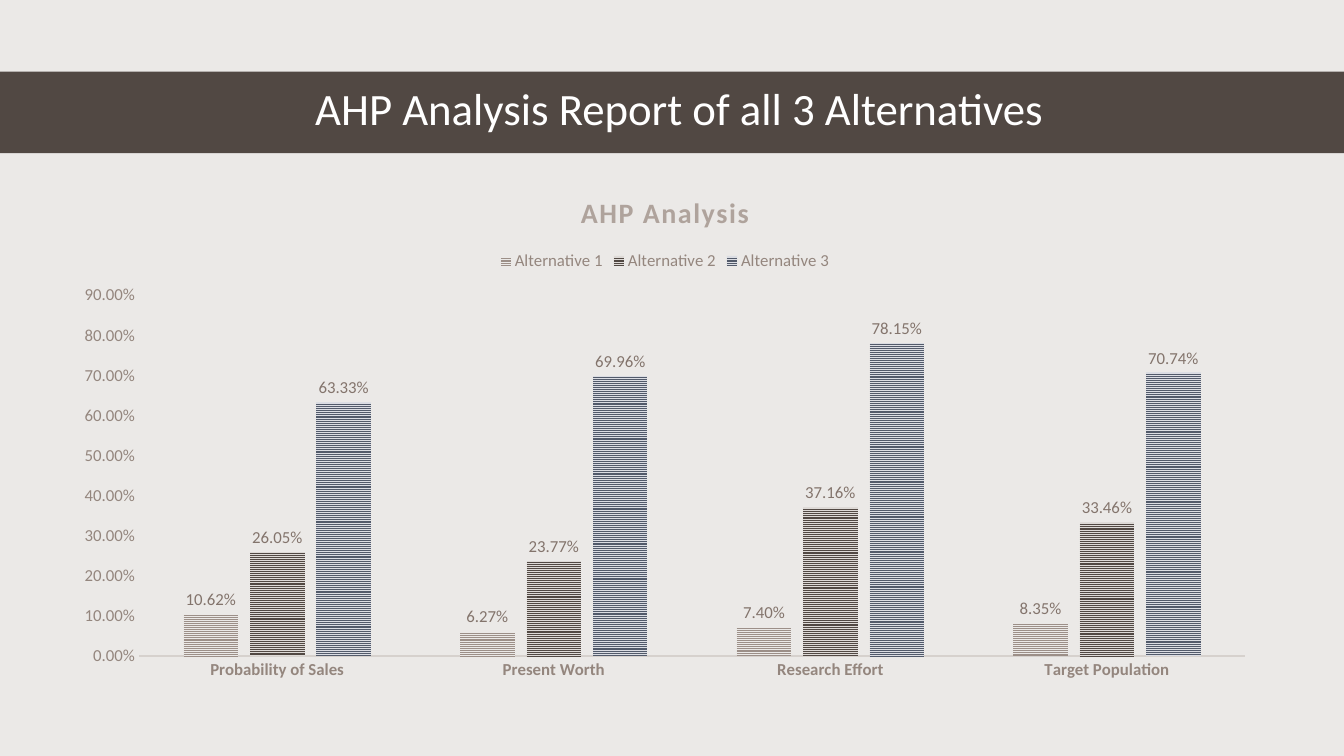
from pptx import Presentation
from pptx.chart.data import CategoryChartData
from pptx.dml.color import RGBColor
from pptx.enum.chart import XL_CHART_TYPE, XL_LABEL_POSITION, XL_LEGEND_POSITION, XL_TICK_MARK
from pptx.enum.dml import MSO_PATTERN
from pptx.enum.shapes import MSO_SHAPE
from pptx.enum.text import MSO_ANCHOR, PP_ALIGN
from pptx.util import Inches, Pt

RECT = MSO_SHAPE.RECTANGLE
BARS = XL_CHART_TYPE.COLUMN_CLUSTERED
OUTER = XL_LABEL_POSITION.OUTSIDE_END
TOP = XL_LEGEND_POSITION.TOP
NONE = XL_TICK_MARK.NONE
STRIPES = MSO_PATTERN.NARROW_HORIZONTAL
MIDDLE = MSO_ANCHOR.MIDDLE
CENTER = PP_ALIGN.CENTER

FACE = "Calibri"
PAPER, DARK, AXIS = "EBE9E7", "514843", "94867E"
PERCENT = "0.00%"
HEADING = "AHP Analysis Report of all 3 Alternatives"
CAPTION = "AHP Analysis"
TOPICS = ["Probability of Sales", "Present Worth", "Research Effort", "Target Population"]
SERIES = [
    ("Alternative 1", (0.1062, 0.0627, 0.074, 0.0835), "9C8F88", PAPER),
    ("Alternative 2", (0.2605, 0.2377, 0.3716, 0.3346), DARK, "DEDAD7"),
    ("Alternative 3", (0.6333, 0.6996, 0.7815, 0.7074), "525A6A", "DBDDE3"),
]


def color(code):
    return RGBColor.from_string(code)


def style(font, size, code, bold=False):
    font.name, font.size, font.bold = FACE, Pt(size), bold
    font.color.rgb = color(code)


def write(frame, text, size, code, bold=False, spread=0):
    para = frame.paragraphs[0]
    para.alignment = CENTER
    run = para.add_run()
    run.text = text
    style(run.font, size, code, bold)
    if spread:
        run._r.get_or_add_rPr().set("spc", str(spread))
    return para


def place(*box):
    return [Inches(n) for n in box]


deck = Presentation()
deck.slide_width, deck.slide_height = place(13.33, 7.5)
slide = deck.slides.add_slide(deck.slide_layouts[6])
slide.background.fill.solid()
slide.background.fill.fore_color.rgb = color(PAPER)

band = slide.shapes.add_shape(RECT, *place(0, 0.71, 13.33, 0.81))
band.shadow.inherit = False
band.fill.solid()
band.fill.fore_color.rgb = color(DARK)
band.line.fill.background()

frame = slide.shapes.add_textbox(*place(0.61, 0.7, 12.26, 0.81)).text_frame
frame.word_wrap = True
frame.vertical_anchor = MIDDLE
write(frame, HEADING, 32, "FFFFFF").line_spacing = 0.9

data = CategoryChartData(number_format=PERCENT)
data.categories = TOPICS
for name, values, front, back in SERIES:
    data.add_series(name, values)
chart = slide.shapes.add_chart(BARS, *place(0.6, 1.71, 11.99, 5.14), data).chart
style(chart.font, 10, DARK)
chart.has_title = True
write(chart.chart_title.text_frame, CAPTION, 20, "AFA39C", bold=True, spread=100)
chart.chart_title.include_in_layout = False

chart.has_legend = True
chart.legend.position = TOP
chart.legend.include_in_layout = False
style(chart.legend.font, 12, AXIS)

for axis, bold in ((chart.category_axis, True), (chart.value_axis, False)):
    axis.major_tick_mark = axis.minor_tick_mark = NONE
    axis.has_major_gridlines = False
    style(axis.tick_labels.font, 12, AXIS, bold)
base = chart.category_axis.format.line
base.color.rgb = color("D6D1CD")
base.width = Pt(1.5)
scale = chart.value_axis
scale.format.line.fill.background()
scale.minimum_scale, scale.maximum_scale, scale.major_unit = 0, 0.9, 0.1
scale.tick_labels.number_format = PERCENT
scale.tick_labels.number_format_is_linked = False

plot = chart.plots[0]
plot.gap_width, plot.overlap, plot.vary_by_categories = 164, -22, False
for bars, (name, values, front, back) in zip(plot.series, SERIES):
    fill = bars.format.fill
    fill.patterned()
    fill.pattern = STRIPES
    fill.fore_color.rgb, fill.back_color.rgb = color(front), color(back)
    bars.invert_if_negative = False
    labels = bars.data_labels
    labels.show_value = True
    labels.position = OUTER
    labels.number_format = PERCENT
    labels.number_format_is_linked = False
    style(labels.font, 12, "83746C")

deck.save("out.pptx")
